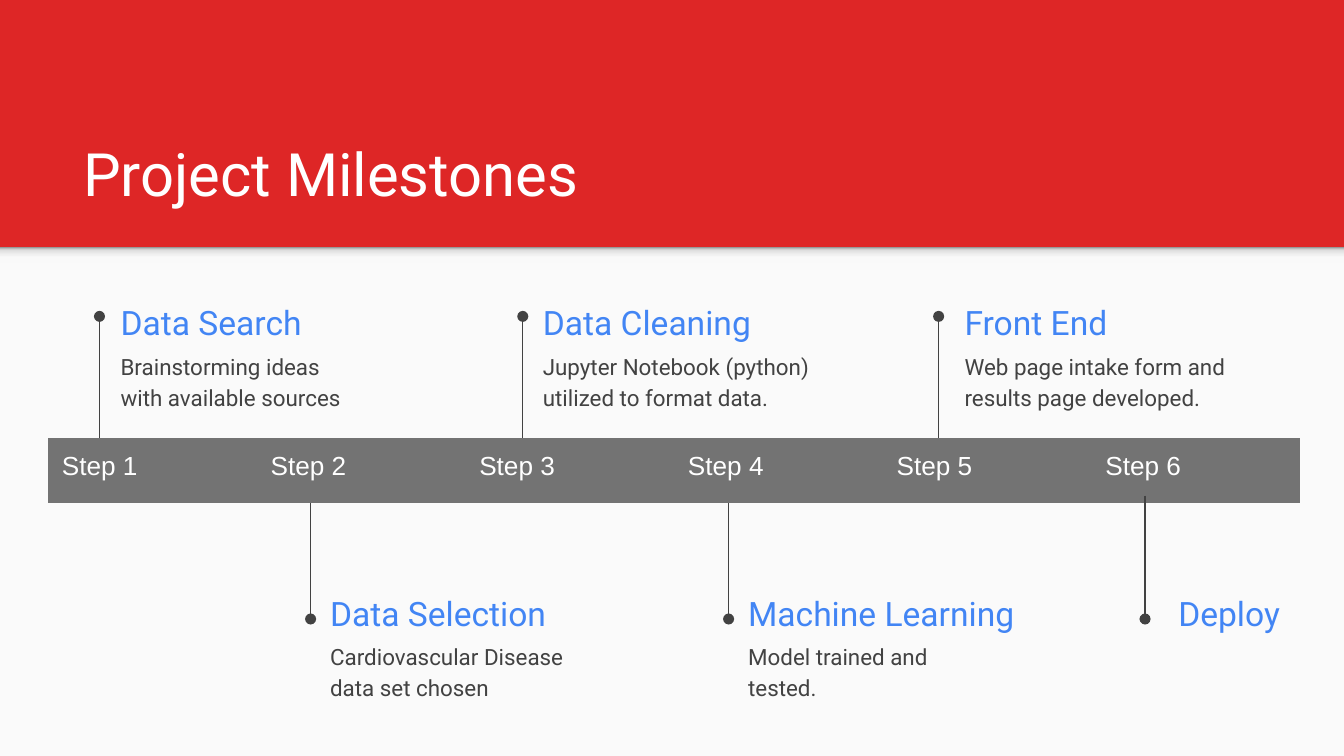
from lxml import etree
from pptx import Presentation
from pptx.dml.color import RGBColor
from pptx.enum import shapes, text
from pptx.oxml.ns import qn
from pptx.util import Cm, Pt

RED = RGBColor(0xDE, 0x26, 0x26)
PAPER = RGBColor(0xFA, 0xFA, 0xFA)
WHITE = RGBColor(0xFF, 0xFF, 0xFF)
GREY = RGBColor(0x73, 0x73, 0x73)
DARK = RGBColor(0x42, 0x42, 0x42)
BLUE = RGBColor(0x42, 0x85, 0xF4)
SHADOW_STOPS = [(0, "F9F9F9"), (36, "F9F9F9"), (80, "DEDEDE"), (100, "999999")]
NO_GRID_STYLE = "{2D5ABB26-0587-4C30-8999-92F81FD0307C}"

TITLE = "Project Milestones"
MILESTONES = [
    {"heading": "Data Search", "detail": "Brainstorming ideas with available sources",
     "stem": 1.88, "left": 2.03, "widths": (5.03, 5.03)},
    {"heading": "Data Selection", "detail": "Cardiovascular Disease data set chosen",
     "stem": 5.87, "left": 5.99, "widths": (5.03, 5.03)},
    {"heading": "Data Cleaning", "detail": "Jupyter Notebook (python) utilized to format data.",
     "stem": 9.88, "left": 10.01, "widths": (5.03, 5.66)},
    {"heading": "Machine Learning", "detail": "Model trained and tested.",
     "stem": 13.77, "left": 13.89, "widths": (5.77, 5.03)},
    {"heading": "Front End", "detail": "Web page intake form and results page developed.",
     "stem": 17.74, "left": 17.98, "widths": (5.03, 6.17)},
    {"heading": "Deploy", "detail": "",
     "stem": 21.64, "left": 22.02, "widths": (3.25, 0)},
]
ABOVE = {"start": 8.31, "end": 5.98, "heading": 5.55, "detail": 6.35}
BELOW = {"start": 9.37, "end": 11.7, "heading": 11.04, "detail": 11.83}

BAND_TOP = 4.67
BAR_LEFT, BAR_TOP, BAR_WIDTH, BAR_HEIGHT = 0.9, 8.28, 23.67, 1.22
INSET = Cm(0.25)


def write(frame, words, size, font, color, anchor):
    frame.text = words
    frame.word_wrap = True
    frame.auto_size = text.MSO_AUTO_SIZE.NONE
    frame.vertical_anchor = anchor
    frame.margin_left = frame.margin_right = INSET
    frame.margin_top = frame.margin_bottom = INSET
    para = frame.paragraphs[0]
    para.alignment = text.PP_ALIGN.LEFT
    span = para.runs[0]
    span.font.size = Pt(size)
    span.font.name = font
    span.font.color.rgb = color
    return para


def add_band(page, top, height):
    band = page.shapes.add_shape(shapes.MSO_SHAPE.RECTANGLE, 0, Cm(top), Cm(25.4), Cm(height))
    band.shadow.inherit = False
    band.line.fill.background()
    return band


def add_backdrop(page):
    page.background.fill.solid()
    page.background.fill.fore_color.rgb = RED
    paper = add_band(page, BAND_TOP, 14.29 - BAND_TOP)
    paper.fill.solid()
    paper.fill.fore_color.rgb = PAPER
    shade = add_band(page, BAND_TOP, 0.3)
    shade.fill.gradient()
    shade.fill.gradient_angle = 90
    stops = shade._element.spPr.find(".//" + qn("a:gsLst"))
    for stop in list(stops):
        stops.remove(stop)
    for position, color in SHADOW_STOPS:
        stop = etree.SubElement(stops, qn("a:gs"), pos=str(position * 1000))
        etree.SubElement(stop, qn("a:srgbClr"), val=color)


def add_title(page):
    title = page.shapes.title
    title.left, title.top, title.width, title.height = Cm(1.32), Cm(2.06), Cm(22.83), Cm(2.13)
    para = write(title.text_frame, TITLE, 32, "Roboto", WHITE, text.MSO_ANCHOR.BOTTOM)
    para.space_after = Pt(4)
    tree = page.shapes._spTree
    tree.remove(title._element)
    tree.append(title._element)


def add_milestone(page, item, side):
    stem = page.shapes.add_connector(
        shapes.MSO_CONNECTOR.STRAIGHT,
        Cm(item["stem"]), Cm(side["start"]), Cm(item["stem"]), Cm(side["end"]))
    stem.line.color.rgb = DARK
    stem.line.width = Pt(0.75)
    etree.SubElement(stem.line._get_or_add_ln(), qn("a:tailEnd"), type="oval")
    etree.SubElement(stem._element.spPr, qn("a:effectLst"))

    heading_width, detail_width = item["widths"]
    box = page.shapes.add_textbox(
        Cm(item["left"]), Cm(side["heading"]), Cm(heading_width), Cm(1.09))
    write(box.text_frame, item["heading"], 18, "Roboto", BLUE, text.MSO_ANCHOR.MIDDLE)
    if item["detail"]:
        box = page.shapes.add_textbox(
            Cm(item["left"]), Cm(side["detail"]), Cm(detail_width), Cm(1.6))
        para = write(box.text_frame, item["detail"], 12, "Roboto", DARK, text.MSO_ANCHOR.TOP)
        para.line_spacing = 1.15
        para.space_after = Pt(16)


def add_step_bar(page):
    count = 2 * len(MILESTONES)
    table = page.shapes.add_table(
        1, count, Cm(BAR_LEFT), Cm(BAR_TOP), Cm(BAR_WIDTH), Cm(BAR_HEIGHT)).table
    table.first_row = table.horz_banding = False
    table._tbl.tblPr.find(qn("a:tableStyleId")).text = NO_GRID_STYLE
    for index in range(count):
        table.columns[index].width = Cm(BAR_WIDTH / count)
        cell = table.cell(0, index)
        cell.fill.solid()
        cell.fill.fore_color.rgb = GREY
        if index % 2 == 0:
            cell.margin_left = cell.margin_right = INSET
            cell.margin_top = cell.margin_bottom = INSET
            para = cell.text_frame.paragraphs[0]
            para.text = f"Step {index // 2 + 1}"
            para.alignment = text.PP_ALIGN.CENTER
            font = para.runs[0].font
            font.size, font.name = Pt(14), "Arial"
            font.color.rgb = WHITE


def main():
    deck = Presentation()
    deck.slide_width, deck.slide_height = Cm(25.4), Cm(14.29)
    page = deck.slides.add_slide(deck.slide_layouts[5])
    add_backdrop(page)
    add_title(page)
    for index, item in enumerate(MILESTONES):
        if index == len(MILESTONES) - 1:
            add_step_bar(page)
        add_milestone(page, item, BELOW if index % 2 else ABOVE)
    deck.save("out.pptx")


if __name__ == "__main__":
    main()
